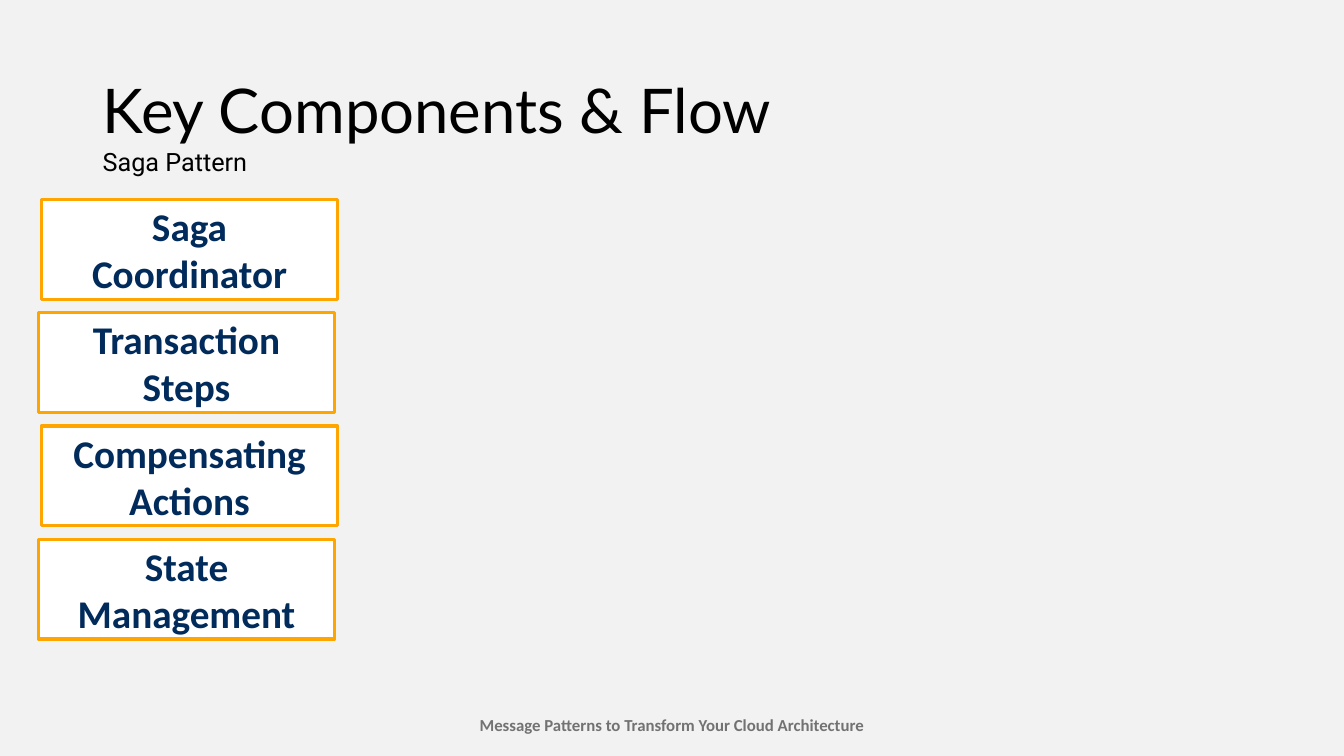
from pptx import Presentation
from pptx.dml.color import RGBColor
from pptx.enum.shapes import MSO_SHAPE
from pptx.enum.text import MSO_ANCHOR, PP_ALIGN
from pptx.util import Inches, Pt

RECT = MSO_SHAPE.RECTANGLE
MIDDLE, TOP = MSO_ANCHOR.MIDDLE, MSO_ANCHOR.TOP
LEFT, CENTER = PP_ALIGN.LEFT, PP_ALIGN.CENTER

WIDE, HIGH = 13.33, 7.5
COLORS = {
    "back": "F2F2F2",
    "ink": "000000",
    "navy": "002B5B",
    "amber": "FFA500",
    "card": "FFFFFF",
    "gray": "727272",
}
PARTS = ["Saga Coordinator", "Transaction Steps",
         "Compensating Actions", "State Management"]


def color(name):
    return RGBColor.from_string(COLORS[name])


def write(shape, text, font, size, ink, bold=False, align=LEFT,
          anchor=TOP, wrap=True):
    frame = shape.text_frame
    frame.text = text
    frame.word_wrap = wrap
    frame.vertical_anchor = anchor
    para = frame.paragraphs[0]
    para.alignment = align
    face = para.runs[0].font
    face.name, face.size, face.bold = font, Pt(size), bold
    face.color.rgb = color(ink)
    return para


def label(slide, box, *args, **style):
    shape = slide.shapes.add_textbox(*map(Inches, box))
    return write(shape, *args, **style)


def header(slide, box):
    """Title with the pattern name under it."""
    left, top, width, height = box
    title = label(slide, box, "Key Components & Flow", "Lato", 44, "ink",
                  anchor=MIDDLE)
    title.line_spacing = 0.9
    label(slide, (left, top + 1, 0.15 * width, 0.4), "Saga Pattern",
          "Roboto", 18, "ink", wrap=False)


def stack(slide, box):
    """Column of cards, every second one set slightly to the left."""
    left, top, width, height = box
    shift, tall = 0.03, 0.99
    step = (height - tall) / (len(PARTS) - 1)
    for row, name in enumerate(PARTS):
        place = (left - shift * (row % 2), top + row * step, width, tall)
        card = slide.shapes.add_shape(RECT, *map(Inches, place))
        card.shadow.inherit = False
        card.fill.solid()
        card.fill.fore_color.rgb = color("card")
        card.line.color.rgb = color("amber")
        card.line.width = Pt(2.25)
        write(card, name, "Calibri", 28, "navy", bold=True, align=CENTER,
              anchor=MIDDLE)


def footer(slide, box):
    """Talk name, centred at the bottom."""
    label(slide, box, "Message Patterns to Transform Your Cloud Architecture",
          "Calibri", 12, "gray", bold=True, align=CENTER, wrap=False)


def main():
    deck = Presentation()
    deck.slide_width, deck.slide_height = Inches(WIDE), Inches(HIGH)
    slide = deck.slides.add_slide(deck.slide_layouts[6])
    slide.background.fill.solid()
    slide.background.fill.fore_color.rgb = color("back")

    footer(slide, ((WIDE - 4.06) / 2, 7.04, 4.06, 0.3))
    header(slide, (0.92, 0.4, 11.5, 1.45))
    stack(slide, (0.41, 1.98, 2.94, 4.36))
    deck.save("out.pptx")


if __name__ == "__main__":
    main()
